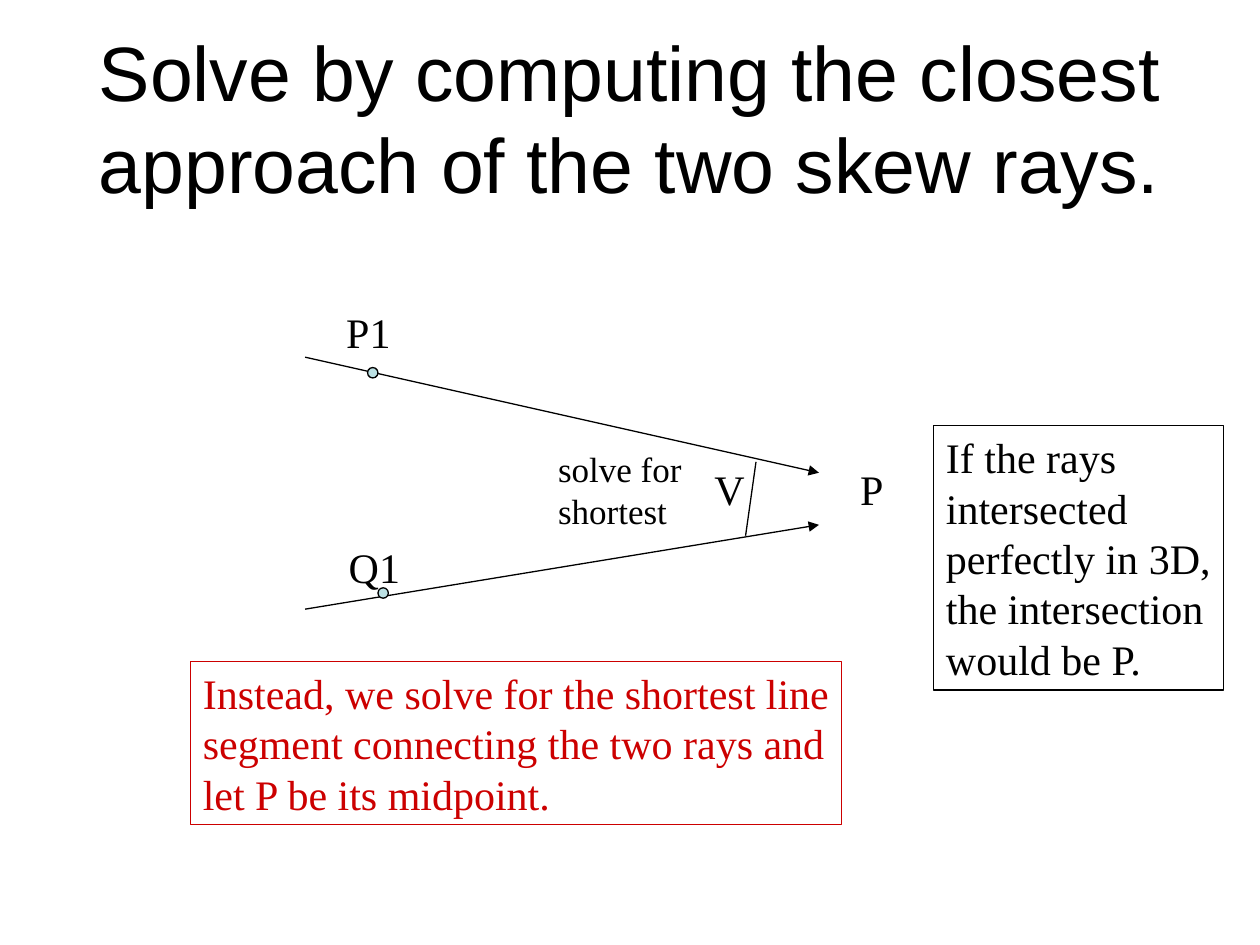
from lxml import etree
from pptx import Presentation
from pptx.dml.color import RGBColor
from pptx.enum import shapes, text
from pptx.oxml import ns
from pptx.util import Cm, Pt

BLACK = RGBColor(0x00, 0x00, 0x00)
RED = RGBColor(0xCC, 0x00, 0x00)
PALE_BLUE = RGBColor(0xBB, 0xE0, 0xE3)
LINE_WIDTH = Pt(0.75)

# Content: lengths in centimetres
TITLE = "Solve by computing the closest\vapproach of the two skew rays."
TITLE_AREA = (1.27, 0.76, 22.86, 3.18)

# start, end
RAYS = [((6.15, 7.2), (16.51, 9.53)), ((6.15, 12.28), (16.51, 10.58))]
SHORTEST_SEGMENT = ((15.03, 10.8), (15.24, 9.31))

POINT_SIZE = 0.21
POINTS = [(7.41, 7.41), (7.62, 11.85)]

# lines, area, size
LABELS = [
    (["P1"], (6.73, 6.05, 1.4, 1.27), 24),
    (["Q1"], (6.78, 10.8, 1.55, 1.27), 24),
    (["V"], (14.15, 9.22, 1.12, 1.27), 24),
    (["P"], (17.09, 9.22, 0.97, 1.27), 24),
    (["solve for", "shortest"], (11, 8.89, 3, 1.96), 20),
]

# lines, area, colour
NOTES = [
    (["If the rays", "intersected", "perfectly in 3D,", "the intersection", "would be P."],
     (18.82, 8.58, 5.84, 5.33), BLACK),
    (["Instead, we solve for the shortest line", "segment connecting the two rays and",
      "let P be its midpoint."],
     (3.84, 13.33, 13.13, 3.3), RED),
]


def add_text(page, lines, area, size=24, font="Times New Roman", color=BLACK,
             border=None, wrap=False, align=text.PP_ALIGN.LEFT,
             anchor=text.MSO_ANCHOR.TOP):
    box = page.shapes.add_textbox(*map(Cm, area))
    if border is not None:
        box.line.color.rgb = border
        box.line.width = LINE_WIDTH
    frame = box.text_frame
    frame.word_wrap = wrap
    frame.vertical_anchor = anchor
    frame.text = "\n".join(lines)
    for para in frame.paragraphs:
        para.alignment = align
        for span in para.runs:
            span.font.size = Pt(size)
            span.font.name = font
            span.font.color.rgb = color
    return box


def add_line(page, start, end, arrow=False):
    line = page.shapes.add_connector(
        shapes.MSO_CONNECTOR.STRAIGHT, *map(Cm, start + end))
    line.line.color.rgb = BLACK
    line.line.width = LINE_WIDTH
    if arrow:
        etree.SubElement(line.line._get_or_add_ln(), ns.qn("a:tailEnd"), type="triangle")
    etree.SubElement(line._element.spPr, ns.qn("a:effectLst"))


def add_point(page, left, top):
    point = page.shapes.add_shape(
        shapes.MSO_SHAPE.OVAL, Cm(left), Cm(top), Cm(POINT_SIZE), Cm(POINT_SIZE))
    point.shadow.inherit = False
    point.fill.solid()
    point.fill.fore_color.rgb = PALE_BLUE
    point.line.color.rgb = BLACK
    point.line.width = LINE_WIDTH


def main():
    deck = Presentation()
    deck.slide_width, deck.slide_height = Cm(25.4), Cm(19.05)
    page = deck.slides.add_slide(deck.slide_layouts[6])

    # Title
    add_text(page, [TITLE], TITLE_AREA, size=44, font="Arial", wrap=True,
             align=text.PP_ALIGN.CENTER, anchor=text.MSO_ANCHOR.MIDDLE)

    # Rays and the segment between them
    for start, end in RAYS:
        add_line(page, start, end, arrow=True)
    add_line(page, *SHORTEST_SEGMENT)

    # Framed notes and diagram labels
    for lines, area, color in NOTES:
        add_text(page, lines, area, color=color, border=color)
    for lines, area, size in LABELS:
        add_text(page, lines, area, size=size)

    # Points on the rays
    for left, top in POINTS:
        add_point(page, left, top)

    deck.save("out.pptx")


if __name__ == "__main__":
    main()
